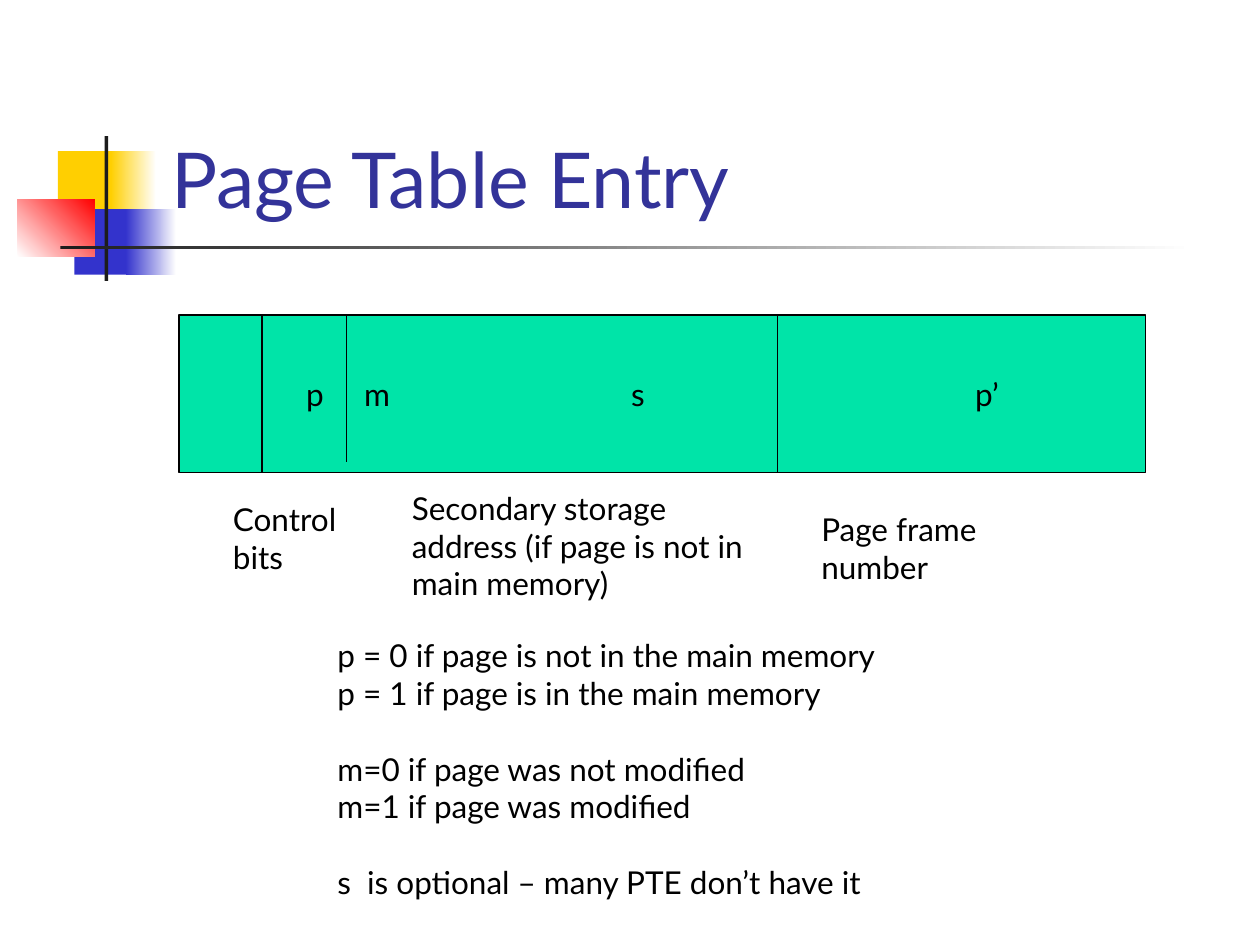
from lxml import etree
from pptx import Presentation
from pptx.dml.color import RGBColor
from pptx.enum.shapes import MSO_CONNECTOR as Connector, MSO_SHAPE as Preset
from pptx.enum.text import MSO_ANCHOR as Anchor, PP_ALIGN as Align
from pptx.oxml.ns import qn
from pptx.util import Inches, Pt

FONT = "Lato"
BLACK, WHITE, GREEN, TITLE_BLUE = "000000", "FFFFFF", "00E4A8", "333399"
YELLOW, BLUE, RED, CHARCOAL = "FFCF01", "3333CC", "FF0000", "1C1C1C"

DECORATIONS = [
    ((0.46, 1.2, 0.48, 0.52), [YELLOW], 0),
    ((0.88, 1.2, 0.36, 0.52), [YELLOW, WHITE], 0),
    ((0.59, 1.66, 0.46, 0.52), [BLUE], 0),
    ((1, 1.66, 0.4, 0.52), [BLUE, WHITE], 0),
    ((0.14, 1.58, 0.61, 0.46), [WHITE, RED], 45),
    ((0.83, 1.08, 0.03, 1.15), [CHARCOAL], 0),
    ((0.48, 1.95, 9, 0.03), [CHARCOAL, WHITE], 0),
]
TITLE = ((1.26, 0.23, 8.52, 1.6), "Page Table Entry")
ENTRY_BOX = (1.42, 2.5, 7.67, 1.25)
FIELDS = [("p", 2.43), ("m", 2.89), ("s", 5.01), ("p’", 7.74)]
DIVIDERS = [(2.08, 3.75), (2.75, 3.67), (6.17, 3.75)]
LABELS = [
    ((1.75, 3.92, 1.08, 0.7), "Control bits"),
    ((3.17, 3.83, 2.93, 1), "Secondary storage address (if page is not in main memory)"),
    ((6.42, 4, 1.6, 0.7), "Page frame number"),
]
NOTES_BOX = (2.58, 5, 4.68, 2.52)
NOTE_GROUPS = [
    ["p = 0 if page is not in the main memory", "p = 1 if page is in the main memory"],
    ["m=0 if page was not modified", "m=1 if page was modified"],
    ["s  is optional – many PTE don’t have it"],
]
GROUP_GAP = Pt(21.6)


def rgb(color):
    """Turn a hex string into a colour."""
    return RGBColor.from_string(color)


def write(paragraph, text, size=18, color=BLACK):
    """Fill a paragraph with left-aligned text in the slide font."""
    paragraph.text = text
    paragraph.alignment = Align.LEFT
    paragraph.font.name = FONT
    paragraph.font.size = Pt(size)
    paragraph.font.color.rgb = rgb(color)


def add_rectangle(slide, box, colors, angle=0):
    """Add a borderless rectangle with a solid or two-colour fill."""
    shape = slide.shapes.add_shape(Preset.RECTANGLE, *map(Inches, box))
    shape.shadow.inherit = False
    shape.line.fill.background()
    if len(colors) == 1:
        shape.fill.solid()
        shape.fill.fore_color.rgb = rgb(colors[0])
    else:
        shape.fill.gradient()
        shape.fill.gradient_angle = angle
        for stop, color in zip(shape.fill.gradient_stops, colors):
            stop.color.rgb = rgb(color)
    return shape


def add_text(slide, box, text, wrap=True, anchor=Anchor.TOP, **style):
    """Add a text box and return its frame."""
    frame = slide.shapes.add_textbox(*map(Inches, box)).text_frame
    frame.word_wrap = wrap
    frame.vertical_anchor = anchor
    write(frame.paragraphs[0], text, **style)
    return frame


def add_entry(slide):
    """Add the table entry bar, its field names and its dividers."""
    left, top = ENTRY_BOX[:2]
    bar = add_rectangle(slide, ENTRY_BOX, [GREEN])
    bar.line.color.rgb = rgb(BLACK)
    bar.line.width = Pt(0.75)
    frame = bar.text_frame
    frame.word_wrap = True
    frame.vertical_anchor = Anchor.MIDDLE
    first = FIELDS[0][1]
    frame.margin_left = Inches(first - left)
    paragraph = frame.paragraphs[0]
    write(paragraph, "\t".join(name for name, _ in FIELDS))
    tabs = etree.Element(qn("a:tabLst"))
    for _, position in FIELDS[1:]:
        etree.SubElement(tabs, qn("a:tab"), pos=str(Inches(position - first)), algn="l")
    paragraph._p.get_or_add_pPr().find(qn("a:defRPr")).addprevious(tabs)

    for x, bottom in DIVIDERS:
        ends = map(Inches, (x, top, x, bottom))
        divider = slide.shapes.add_connector(Connector.STRAIGHT, *ends)
        divider.line.color.rgb = rgb(BLACK)
        divider.line.width = Pt(0.75)
        etree.SubElement(divider._element.spPr, qn("a:effectLst"))


def add_notes(slide):
    """Add the explanations, with a gap before each new group."""
    frame = add_text(slide, NOTES_BOX, NOTE_GROUPS[0][0], wrap=False)
    for group_index, group in enumerate(NOTE_GROUPS):
        for line_index, line in enumerate(group):
            if group_index == line_index == 0:
                continue
            paragraph = frame.add_paragraph()
            write(paragraph, line)
            if line_index == 0:
                paragraph.space_before = GROUP_GAP


def main():
    """Build and save the slide."""
    presentation = Presentation()
    presentation.slide_width, presentation.slide_height = Inches(10), Inches(7.5)
    slide = presentation.slides.add_slide(presentation.slide_layouts[6])
    for box, colors, angle in DECORATIONS:
        add_rectangle(slide, box, colors, angle)
    add_text(slide, *TITLE, anchor=Anchor.BOTTOM, size=44, color=TITLE_BLUE)
    add_entry(slide)
    for box, text in LABELS:
        add_text(slide, box, text)
    add_notes(slide)
    presentation.save("out.pptx")


if __name__ == "__main__":
    main()
